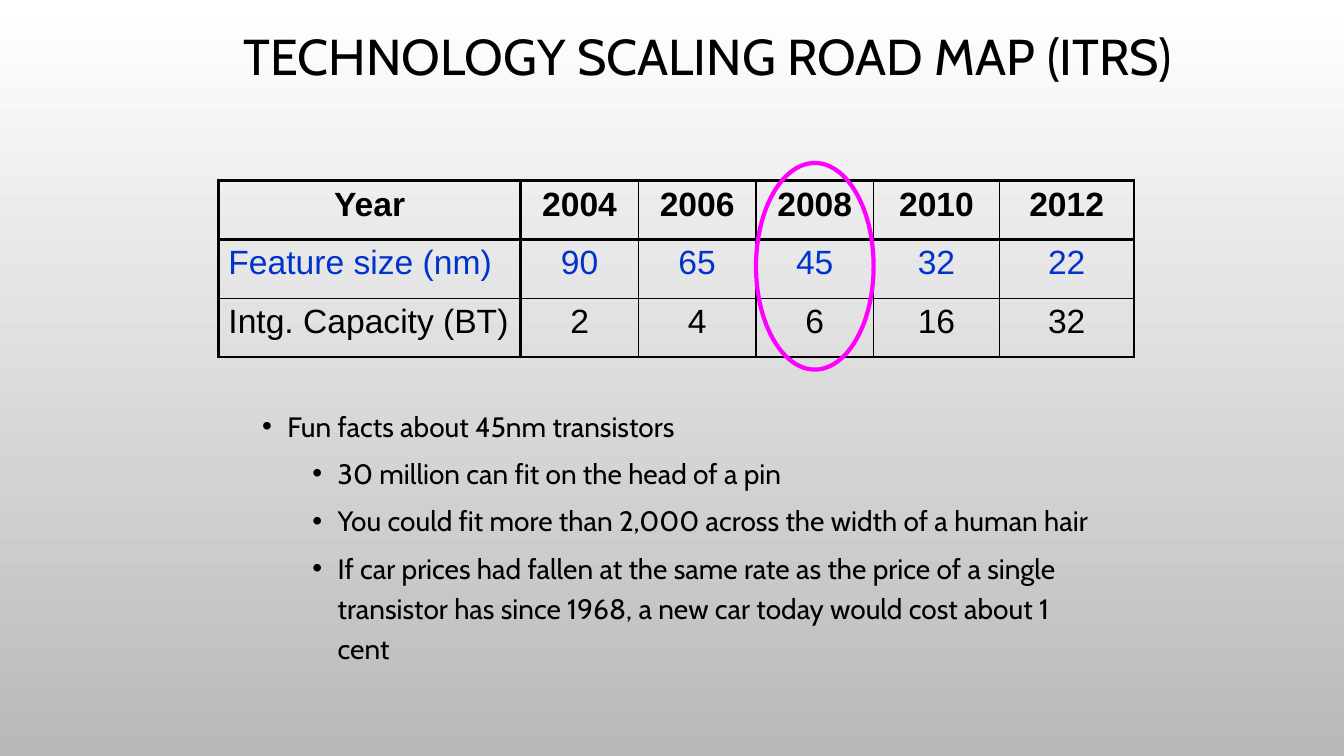
from dataclasses import dataclass

from lxml.etree import SubElement
from pptx import Presentation
from pptx.dml.color import RGBColor
from pptx.enum.shapes import MSO_SHAPE
from pptx.enum.text import MSO_ANCHOR, MSO_AUTO_SIZE, PP_ALIGN
from pptx.oxml.ns import qn
from pptx.util import Inches, Pt

COLORS = {"text": "000000", "feature": "0033CC", "highlight": "FF00FF",
          "top": "FFFFFF", "bottom": "B9B9B9"}
GRID_COLS, GRID_ROWS = 160, 90
SLIDE_W, SLIDE_H = Inches(13.33), Inches(7.5)
COL_SPANS = (36, 14, 14, 14, 15, 16)
ROW_SPAN = 7
THICK, THIN = 2.25, 1
THICK_COL_EDGES = {0, 1, 6}
THICK_ROW_EDGES = {0, 1, 3}


@dataclass
class Box:
    col: float
    row: float
    cols: float
    rows: float

    def emu(self) -> tuple:
        return across(self.col), down(self.row), across(self.cols), down(self.rows)


@dataclass
class RoadmapRow:
    values: tuple
    color: str = "text"
    bold: bool = False


@dataclass
class Fact:
    text: str
    level: int = 0


TITLE_BOX = Box(12, 2, 144.5, 10)
TABLE_BOX = Box(26, 21.5, sum(COL_SPANS), 3 * ROW_SPAN)
FACTS_BOX = Box(30, 47.3, 102, 40.4)
HIGHLIGHT_BOX = Box(90, 19.4, 14, 24.6)

ROADMAP = [
    RoadmapRow(("Year", "2004", "2006", "2008", "2010", "2012"), bold=True),
    RoadmapRow(("Feature size (nm)", "90", "65", "45", "32", "22"), "feature"),
    RoadmapRow(("Intg. Capacity (BT)", "2", "4", "6", "16", "32")),
]
FACTS = [
    Fact("Fun facts about 45nm transistors"),
    Fact("30 million can fit on the head of a pin", 1),
    Fact("You could fit more than 2,000 across the width of a human hair", 1),
    Fact("If car prices had fallen at the same rate as the price of a single "
         "transistor has since 1968, a new car today would cost about 1 cent", 1),
]


def across(cols: float) -> int:
    return round(SLIDE_W * cols / GRID_COLS)


def down(rows: float) -> int:
    return round(SLIDE_H * rows / GRID_ROWS)


def rgb(name: str) -> RGBColor:
    return RGBColor.from_string(COLORS[name])


def place(sp, box: Box) -> None:
    sp.left, sp.top, sp.width, sp.height = box.emu()


def add_run(p, text: str, font: str, size: float, color: str = "text",
            bold: bool = False) -> None:
    r = p.add_run()
    r.text = text
    r.font.name = font
    r.font.size = Pt(size)
    r.font.bold = bold
    r.font.color.rgb = rgb(color)


def set_border(cell, side: str, width: float) -> None:
    ln = SubElement(cell._tc.get_or_add_tcPr(), qn(f"a:{side}"), w=str(Pt(width)))
    fill = SubElement(ln, qn("a:solidFill"))
    SubElement(fill, qn("a:srgbClr"), val=COLORS["text"])


def draw_background(s) -> None:
    fill = s.background.fill
    fill.gradient()
    fill.gradient_angle = 270
    for stop, name in zip(fill.gradient_stops, ("top", "bottom")):
        stop.color.rgb = rgb(name)


def draw_title(s) -> None:
    sp = s.shapes.title
    place(sp, TITLE_BOX)
    tf = sp.text_frame
    tf.auto_size = MSO_AUTO_SIZE.NONE
    tf.vertical_anchor = MSO_ANCHOR.MIDDLE
    p = tf.paragraphs[0]
    p.alignment = PP_ALIGN.CENTER
    p.line_spacing = 0.9
    add_run(p, "TECHNOLOGY SCALING ROAD MAP (ITRS)", "Cabin", 36)


def draw_cell(cell, row: RoadmapRow, i: int, j: int) -> None:
    p = cell.text_frame.paragraphs[0]
    p.alignment = PP_ALIGN.CENTER if i == 0 or j > 0 else PP_ALIGN.LEFT
    before = SubElement(p._p.get_or_add_pPr(), qn("a:spcBef"))
    SubElement(before, qn("a:spcPct"), val="20000")
    add_run(p, row.values[j], "Arial", 24, row.color, row.bold)
    for side, edge, thick in (("lnL", j, THICK_COL_EDGES),
                              ("lnR", j + 1, THICK_COL_EDGES),
                              ("lnT", i, THICK_ROW_EDGES),
                              ("lnB", i + 1, THICK_ROW_EDGES)):
        set_border(cell, side, THICK if edge in thick else THIN)
    cell.fill.background()


def draw_roadmap(s) -> None:
    table = s.shapes.add_table(len(ROADMAP), len(COL_SPANS), *TABLE_BOX.emu()).table
    table.first_row = table.horz_banding = False
    for column, span in zip(table.columns, COL_SPANS):
        column.width = across(span)
    for i, row in enumerate(ROADMAP):
        table.rows[i].height = down(ROW_SPAN)
        for j in range(len(COL_SPANS)):
            draw_cell(table.cell(i, j), row, i, j)


def draw_facts(s) -> None:
    sp = s.placeholders[1]
    place(sp, FACTS_BOX)
    tf = sp.text_frame
    tf.auto_size = MSO_AUTO_SIZE.NONE
    for i, fact in enumerate(FACTS):
        p = tf.add_paragraph() if i else tf.paragraphs[0]
        p.level = fact.level
        p.line_spacing = 1.2
        p.space_before = Pt(5 if fact.level else 10)
        p.space_after = Pt(0)
        pPr = p._p.get_or_add_pPr()
        pPr.set("marL", str(Inches(0.25 + 0.5 * fact.level)))
        pPr.set("indent", str(Inches(-0.25)))
        color = SubElement(pPr, qn("a:buClr"))
        SubElement(color, qn("a:srgbClr"), val=COLORS["text"])
        SubElement(pPr, qn("a:buFont"), typeface="Arial")
        SubElement(pPr, qn("a:buChar"), char="•")
        add_run(p, fact.text, "Cabin", 20)


def draw_highlight(s) -> None:
    sp = s.shapes.add_shape(MSO_SHAPE.OVAL, *HIGHLIGHT_BOX.emu())
    sp.shadow.inherit = False
    sp.fill.background()
    sp.line.color.rgb = rgb("highlight")
    sp.line.width = Pt(3)


def main() -> None:
    prs = Presentation()
    prs.slide_width, prs.slide_height = SLIDE_W, SLIDE_H
    s = prs.slides.add_slide(prs.slide_layouts[1])
    draw_background(s)
    draw_title(s)
    draw_roadmap(s)
    draw_facts(s)
    draw_highlight(s)
    prs.save("out.pptx")


if __name__ == "__main__":
    main()
